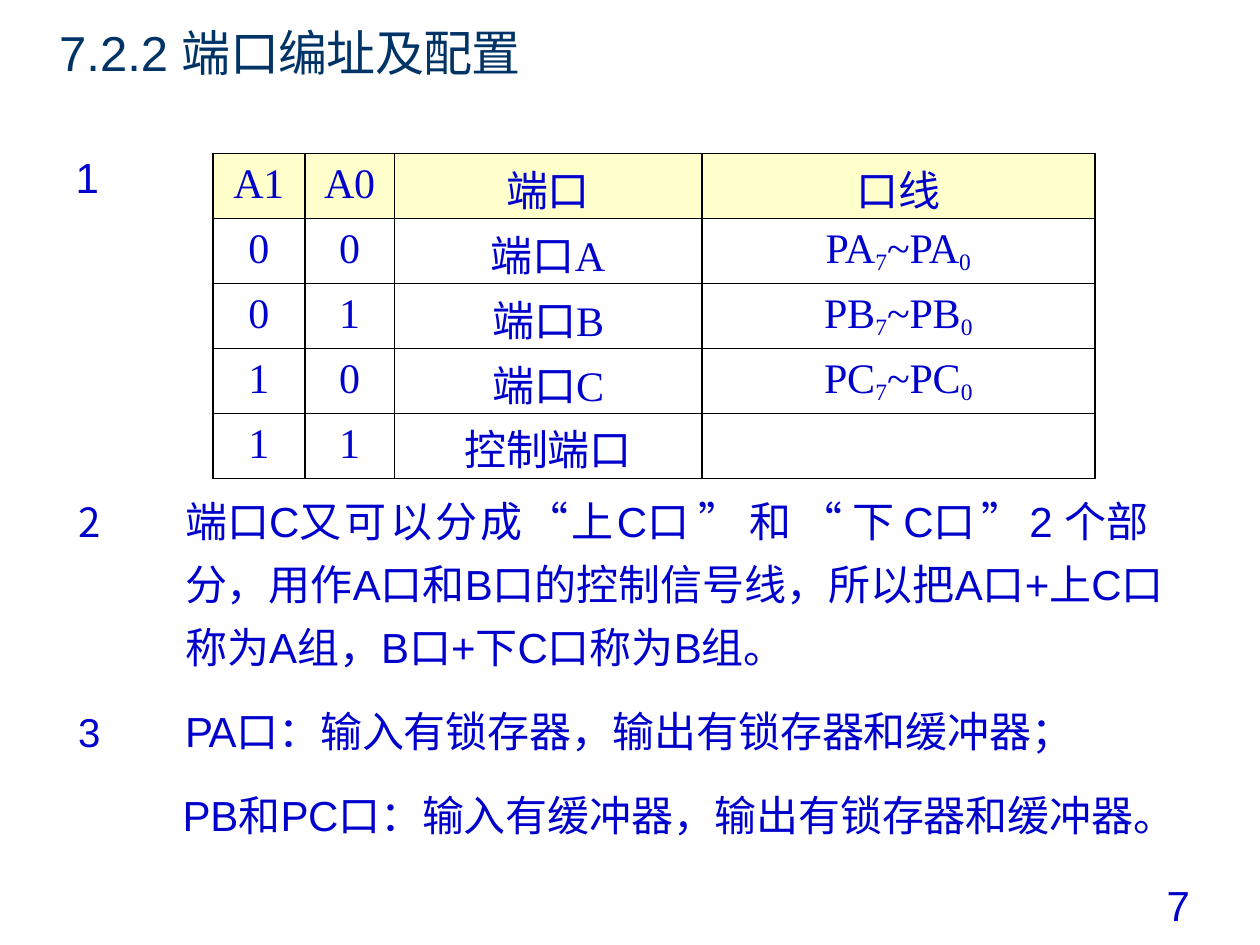
import pptx
import pptx.dml.color
import pptx.enum.text
import pptx.oxml
import pptx.oxml.ns
import pptx.util
from dataclasses import dataclass

Inches = pptx.util.Inches
Pt = pptx.util.Pt
Color = pptx.dml.color.RGBColor.from_string
namespace = pptx.oxml.ns.nsdecls("a")


@dataclass(frozen=True)
class Theme:
    title: str = "003366"
    body: str = "0000CC"
    header: str = "FFFFCC"
    border: str = "000000"
    latin: str = "Arial"
    chinese: str = "Noto Sans CJK JP"
    table_latin: str = "Times New Roman"
    table_chinese: str = "Open Sans"
    title_size: float = 28
    body_size: float = 24
    subscript_size: float = 23.2


theme = Theme()


def add_spans(para, spans, latin=theme.latin, chinese=theme.chinese,
              color=theme.body, size=theme.body_size):
    for text, spacing, *subscript in spans:
        span = para.add_run()
        span.text = text
        font = span.font
        font.name = latin if text.isascii() else chinese
        font.size = Pt(theme.subscript_size if subscript else size)
        font.color.rgb = Color(color)
        properties = span._r.get_or_add_rPr()
        properties.set("spc", str(round(spacing * 100)))
        if subscript:
            properties.set("baseline", "-18000")
        properties.find(pptx.oxml.ns.qn("a:latin")).addnext(
            pptx.oxml.parse_xml(f'<a:ea {namespace} typeface="{font.name}"/>'))


def set_frame(box, top=0.0):
    frame = box.text_frame
    frame.word_wrap = True
    frame.auto_size = pptx.enum.text.MSO_AUTO_SIZE.NONE
    frame.vertical_anchor = pptx.enum.text.MSO_ANCHOR.TOP
    frame.margin_left = frame.margin_right = frame.margin_bottom = 0
    frame.margin_top = Inches(top)
    return frame


deck = pptx.Presentation()
deck.slide_width = Inches(10)
deck.slide_height = Inches(7.5)
page = deck.slides.add_slide(deck.slide_layouts[5])

title = page.shapes.title
title.left, title.top = Inches(0.47), Inches(0.16)
title.width, title.height = Inches(3.94), Inches(0.48)
para = set_frame(title, 0.02).paragraphs[0]
para.alignment = pptx.enum.text.PP_ALIGN.LEFT
add_spans(para, [("7.2.2 ", 0), ("端口编址及配置", -0.3)],
          color=theme.title, size=theme.title_size)

number = page.shapes.add_textbox(Inches(9.22), Inches(7), Inches(0.47), Inches(0.4))
para = set_frame(number).paragraphs[0]
para._p.get_or_add_pPr().set("marL", str(Inches(0.04)))
para.line_spacing = Pt(27.6)
add_spans(para, [("7", -0.2)])

first_item = page.shapes.add_textbox(Inches(0.6), Inches(1.18), Inches(0.88), Inches(0.42))
add_spans(set_frame(first_item, 0.02).paragraphs[0], [("1", -0.2)])

notes = [
    [("端口", 0), ("C", -0.2), ("又可以分成“上", 1.9), ("C", -0.2),
     ("口”和“下", 5.3), ("C", -0.2), ("口”", 3.3), ("2", 6.7),
     ("个部分，用", -0.1), ("作", 0), ("A", -0.1), ("口和", 0), ("B", -0.1),
     ("口的控制信号线，所以把", 0), ("A", -0.1), ("口", 0), ("+", -0.1),
     ("上", 0), ("C", -0.2), ("口称为", 0), ("A", -0.5), ("组，", -0.1),
     ("B", -0.1), ("口", 0), ("+", -0.1), ("下", 0), ("C", -0.2),
     ("口称为", 0), ("B", -0.1), ("组。", -0.2)],
    [("PA", -0.9), ("口：输入有锁存器，输出有锁存器和缓冲器；", -0.1)],
    [("PB", -0.1), ("和", 0), ("PC", -0.2),
     ("口：输入有缓冲器，输出有锁存器和缓冲器。", -0.1)],
]
body = page.shapes.add_textbox(Inches(0.6), Inches(3.81), Inches(8.79), Inches(2.87))
frame = set_frame(body, 0.02)
for index, spans in enumerate(notes):
    para = frame.paragraphs[0] if index == 0 else frame.add_paragraph()
    properties = para._p.get_or_add_pPr()
    numbered = index < 2
    properties.set("marL", str(Inches(0.87 if numbered else 0.85)))
    properties.set("indent", str(Inches(-0.85 if numbered else 0)))
    if numbered:
        for element in (
            f'<a:buSzPct {namespace} val="96000"/>',
            f'<a:buAutoNum {namespace} type="arabicPlain" startAt="2"/>',
            f'<a:tabLst {namespace}><a:tab pos="{Inches(0.87)}" algn="l"/></a:tabLst>',
        ):
            properties.append(pptx.oxml.parse_xml(element))
    if index == 0:
        para.line_spacing = 1.25
    else:
        para.space_before = Pt(19.2)
    add_spans(para, spans)

rows = [[[("A1", -0.2)], [("A0", -0.2)], [("端口", -0.2)], [("口线", -0.2)]]]
for address, port in enumerate("ABC"):
    rows.append([
        [(str(address // 2), -0.5)],
        [(str(address % 2), -0.5)],
        [("端口", 0), (port, -0.5)],
        [("P" + port, -0.1), ("7", -0.1, True), ("~P" + port, -0.1), ("0", -0.1, True)],
    ])
rows.append([[("1", -0.5)], [("1", -0.5)], [("控制端口", -0.1)], []])

table = page.shapes.add_table(
    len(rows), 4, Inches(1.69), Inches(1.22), Inches(7), Inches(2.5)).table
table.first_row = table.horz_banding = False
for column, width in zip(table.columns, (0.73, 0.71, 2.44, 3.12)):
    column.width = Inches(width)
for row_index, row in enumerate(rows):
    table.rows[row_index].height = Inches(0.5)
    for column_index, spans in enumerate(row):
        cell = table.cell(row_index, column_index)
        cell.margin_left = cell.margin_right = cell.margin_bottom = 0
        cell.margin_top = Inches(0.06)
        for side in "LRTB":
            cell._tc.get_or_add_tcPr().append(pptx.oxml.parse_xml(
                f'<a:ln{side} {namespace} w="{Pt(1)}"><a:solidFill>'
                f'<a:srgbClr val="{theme.border}"/></a:solidFill></a:ln{side}>'))
        if row_index == 0:
            cell.fill.solid()
            cell.fill.fore_color.rgb = Color(theme.header)
        else:
            cell.fill.background()
        para = cell.text_frame.paragraphs[0]
        para.alignment = pptx.enum.text.PP_ALIGN.CENTER
        add_spans(para, spans, theme.table_latin, theme.table_chinese)

deck.save("out.pptx")
